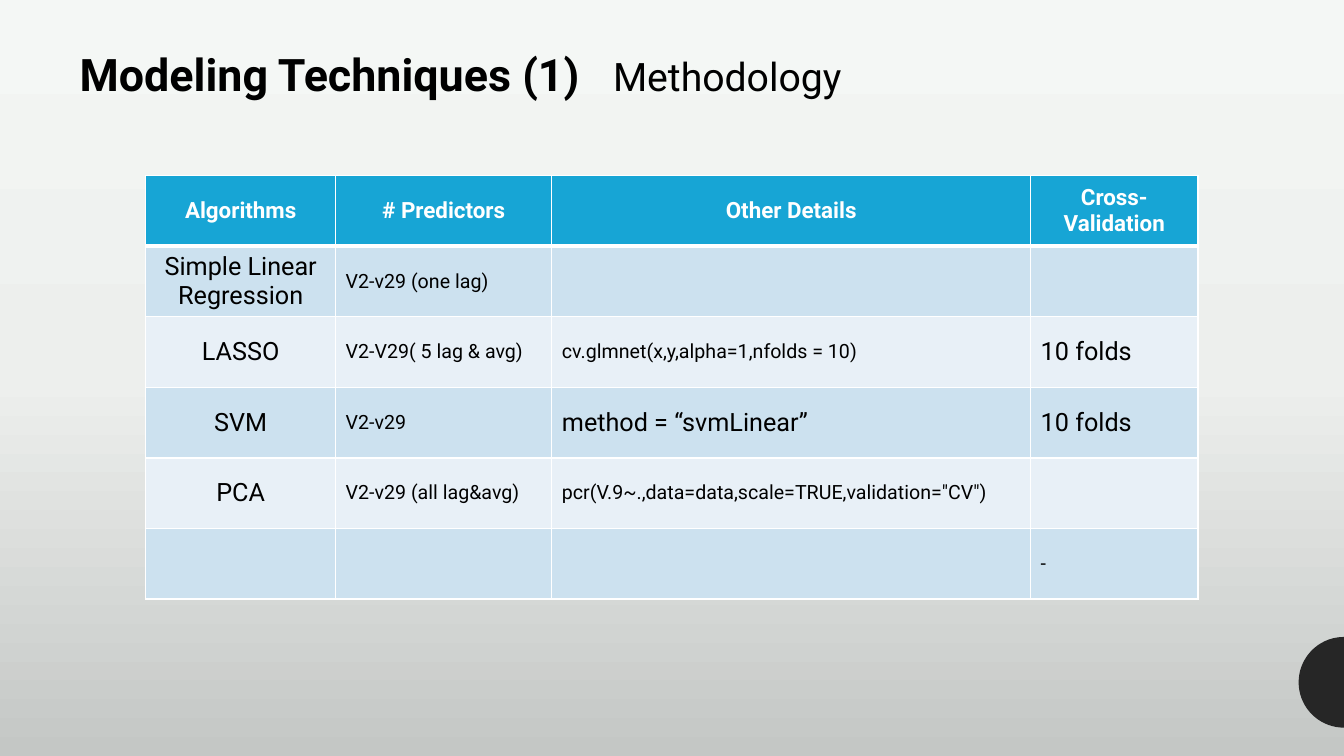
import copy
import math

import lxml.etree
import pptx
import pptx.dml.color
import pptx.enum.text
import pptx.oxml.ns
import pptx.util

Pt = pptx.util.Pt
ALIGN = pptx.enum.text.PP_ALIGN
MIDDLE = pptx.enum.text.MSO_ANCHOR.MIDDLE
qn = pptx.oxml.ns.qn

FONT = "Roboto"
WIDTHS = [135.5, 154.5, 342, 119.5]
ROW_H = 50.4
ROWS = [
    ["Algorithms", "# Predictors", "Other Details", "Cross-Validation"],
    ["Simple Linear Regression", "V2-v29 (one lag)", "", ""],
    ["LASSO", "V2-V29( 5 lag & avg)", "cv.glmnet(x,y,alpha=1,nfolds = 10)", "10 folds"],
    ["SVM", "V2-v29", "method = “svmLinear”", "10 folds"],
    ["PCA", "V2-v29 (all lag&avg)", 'pcr(V.9~.,data=data,scale=TRUE,validation="CV")', ""],
    ["", "", "", "-"],
]
LARGE = {"method = “svmLinear”", "10 folds"}


def rgb(code):
    return pptx.dml.color.RGBColor.from_string(code)


def style(run, size, color, bold):
    run.font.name = FONT
    run.font.size = Pt(size)
    run.font.bold = bold
    run.font.color.rgb = rgb(color)


# Background gradient, top to bottom
def add_back(slide, stops):
    fill = slide.background.fill
    fill.gradient()
    fill.gradient_angle = 270
    first = slide.element.find(".//" + qn("a:gs"))
    first.addnext(copy.deepcopy(first))
    for stop, (place, color) in zip(fill.gradient_stops, stops):
        stop.position = place
        stop.color.rgb = rgb(color)


# Half disc on the right edge
def add_disc(slide, x, y, radius, color):
    turns = [math.radians(90 + 5 * step) for step in range(37)]
    points = [(Pt(x + radius * math.cos(turn)), Pt(y + radius * math.sin(turn)))
              for turn in turns]
    build = slide.shapes.build_freeform(*points[0])
    build.add_line_segments(points[1:], close=True)
    disc = build.convert_to_shape()
    disc.shadow.inherit = False
    disc.fill.solid()
    disc.fill.fore_color.rgb = rgb(color)
    disc.line.fill.background()


# Title with a lighter second part at a tab stop
def add_title(slide, main_part, side_part, tab):
    title = slide.shapes.title
    title.left, title.top, title.width, title.height = Pt(49.7), Pt(29.5), Pt(773), Pt(46)
    frame = title.text_frame
    frame.word_wrap = True
    frame.auto_size = pptx.enum.text.MSO_AUTO_SIZE.NONE
    frame.vertical_anchor = MIDDLE
    para = frame.paragraphs[0]
    para.text = main_part + "\t"
    para.alignment = ALIGN.LEFT
    style(para.runs[0], 32, "000000", True)
    side = para.add_run()
    side.text = side_part
    style(side, 28, "000000", False)
    tabs = lxml.etree.SubElement(para._p.get_or_add_pPr(), qn("a:tabLst"))
    lxml.etree.SubElement(tabs, qn("a:tab"), pos=str(Pt(tab)), algn="l")


def add_edge(cell, side, width, color):
    edge = lxml.etree.SubElement(cell._tc.get_or_add_tcPr(), qn("a:ln" + side),
                                 w=str(Pt(width)))
    fill = lxml.etree.SubElement(edge, qn("a:solidFill"))
    lxml.etree.SubElement(fill, qn("a:srgbClr"), val=color)


def fill_cell(cell, text, row, col):
    head = row == 0
    cell.text = text
    cell.vertical_anchor = MIDDLE
    para = cell.text_frame.paragraphs[0]
    para.alignment = ALIGN.CENTER if head or col == 0 else ALIGN.LEFT
    size = 16 if head else 18 if col == 0 or text in LARGE else 14
    for run in para.runs:
        style(run, size, "FFFFFF" if head else "000000", head)
    # Thick rule between the header and the body
    for side in "LRTB":
        thick = (row, side) in [(0, "B"), (1, "T")]
        add_edge(cell, side, 3 if thick else 1, "FFFFFF")
    cell.fill.solid()
    band = "CCE1EF" if row % 2 else "E8F0F7"
    cell.fill.fore_color.rgb = rgb("17A5D5" if head else band)


# Table of algorithms
def add_grid(slide, left, top):
    table = slide.shapes.add_table(len(ROWS), len(WIDTHS), Pt(left), Pt(top),
                                   Pt(sum(WIDTHS)), Pt(ROW_H * len(ROWS))).table
    for column, width in zip(table.columns, WIDTHS):
        column.width = Pt(width)
    for row, texts in enumerate(ROWS):
        table.rows[row].height = Pt(ROW_H)
        for col, text in enumerate(texts):
            fill_cell(table.cell(row, col), text, row, col)


def main():
    deck = pptx.Presentation()
    deck.slide_width, deck.slide_height = Pt(960), Pt(540)
    slide = deck.slides.add_slide(deck.slide_layouts.get_by_name("Title Only"))
    add_back(slide, [(0, "F4F7F5"), (0.5, "EDEFED"), (1, "C4C7C5")])
    add_disc(slide, 960, 487.4, 32.4, "262626")
    add_title(slide, "Modeling Techniques (1)", "Methodology", 381)
    add_grid(slide, 104.2, 125.5)
    deck.save("out.pptx")


if __name__ == "__main__":
    main()
